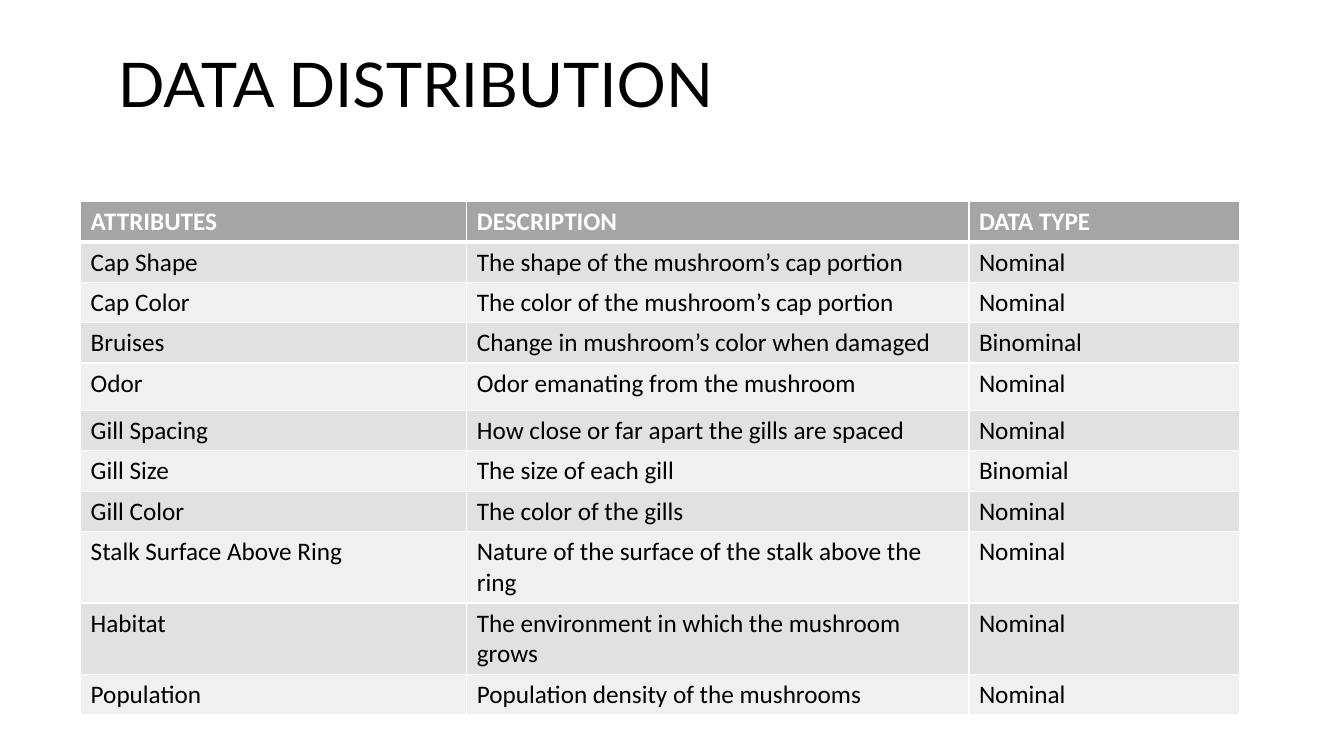
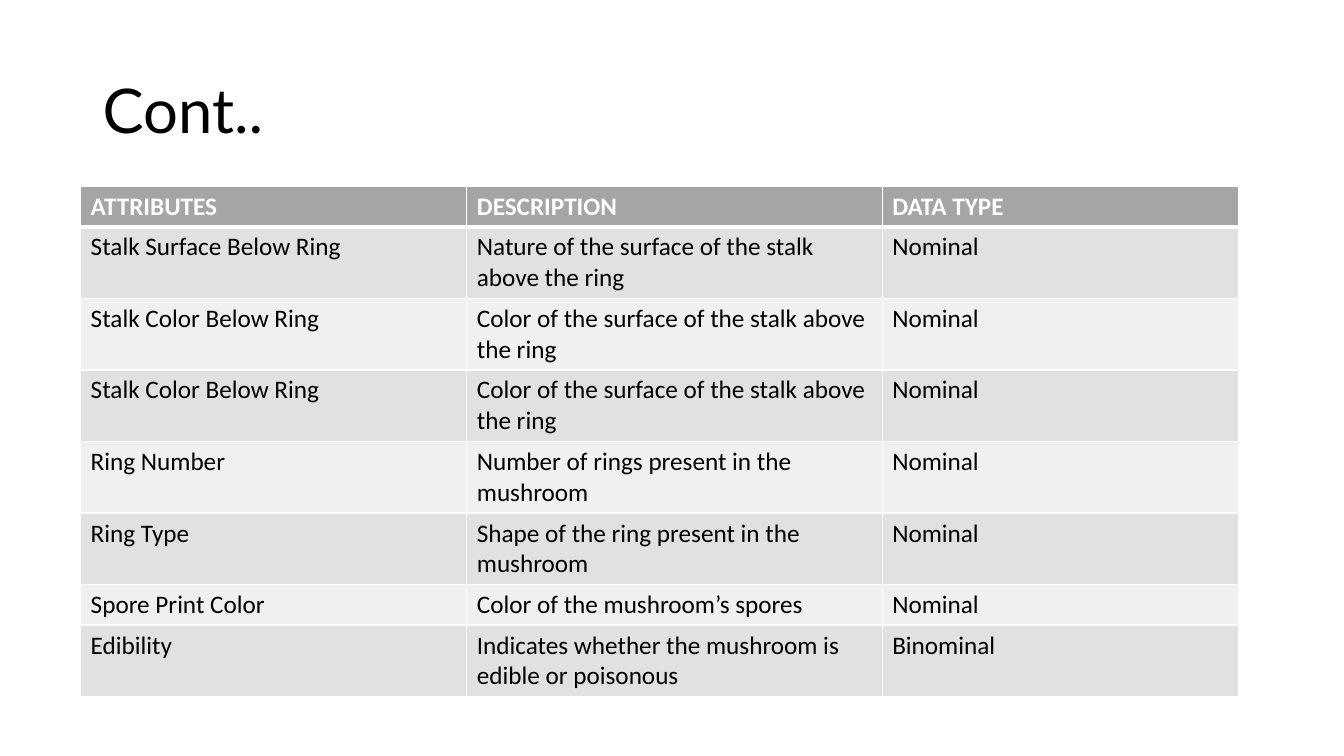
from dataclasses import dataclass
from lxml import etree
from pptx import Presentation
from pptx.dml.color import RGBColor
from pptx.enum.text import MSO_ANCHOR
from pptx.oxml.ns import qn
from pptx.util import Inches, Pt

MIDDLE = MSO_ANCHOR.MIDDLE


@dataclass(frozen=True)
class Theme:
    ink: str = "000000"
    white: str = "FFFFFF"
    head: str = "A5A5A5"
    bands: tuple = ("E1E1E1", "F0F0F0")
    title_font: str = "Lato"
    body_font: str = "Calibri"
    title_size: int = 44
    body_size: int = 18
    thin: int = 1
    thick: int = 3


THEME = Theme()
LEFT = 0.8
TITLE_SIZE = (11.5, 1.45)
ONE_LINE, TALL, TWO_LINES = 0.4, 0.47, 0.71
HEAD = ("ATTRIBUTES", "DESCRIPTION", "DATA TYPE")

SLIDES = [
    {
        "title": "DATA DISTRIBUTION",
        "title_at": (1.07, 0.14),
        "top": 2,
        "cols": (3.83, 4.98, 2.68),
        "rows": [
            ("Cap Shape", "The shape of the mushroom’s cap portion", "Nominal"),
            ("Cap Color", "The color of the mushroom’s cap portion", "Nominal"),
            ("Bruises", "Change in mushroom’s color when damaged", "Binominal"),
            ("Odor", "Odor emanating from the mushroom", "Nominal"),
            ("Gill Spacing", "How close or far apart the gills are spaced", "Nominal"),
            ("Gill Size", "The size of each gill", "Binomial"),
            ("Gill Color", "The color of the gills", "Nominal"),
            ("Stalk Surface Above Ring", "Nature of the surface of the stalk above the ring", "Nominal"),
            ("Habitat", "The environment in which the mushroom grows", "Nominal"),
            ("Population", "Population density of the mushrooms", "Nominal"),
        ],
        "heights": {4: TALL, 8: TWO_LINES, 9: TWO_LINES},
    },
    {
        "title": "Cont..",
        "title_at": (0.92, 0.4),
        "top": 1.85,
        "cols": (3.83, 4.12, 3.54),
        "rows": [
            ("Stalk Surface Below Ring", "Nature of the surface of the stalk above the ring", "Nominal"),
            ("Stalk Color Below Ring", "Color of the surface of the stalk above the ring", "Nominal"),
            ("Stalk Color Below Ring", "Color of the surface of the stalk above the ring", "Nominal"),
            ("Ring Number", "Number of rings present in the mushroom", "Nominal"),
            ("Ring Type", "Shape of the ring present in the mushroom", "Nominal"),
            ("Spore Print Color", "Color of the mushroom’s spores", "Nominal"),
            ("Edibility", "Indicates whether the mushroom is edible or poisonous", "Binominal"),
        ],
        "heights": {row: TWO_LINES for row in (1, 2, 3, 4, 5, 7)},
    },
]


def add_run(para, text, font, size, color, bold=False):
    run = para.add_run()
    run.text = text
    run.font.name = font
    run.font.size = Pt(size)
    run.font.bold = bold
    run.font.color.rgb = RGBColor.from_string(color)


def add_title(slide, text, spot):
    box = slide.shapes.add_textbox(*map(Inches, spot + TITLE_SIZE))
    frame = box.text_frame
    frame.word_wrap = True
    frame.vertical_anchor = MIDDLE
    para = frame.paragraphs[0]
    para.line_spacing = 0.9
    add_run(para, text, THEME.title_font, THEME.title_size, THEME.ink)


def set_edges(cell, row):
    props = cell._tc.get_or_add_tcPr()
    top = THEME.thick if row == 1 else THEME.thin
    base = THEME.thick if row == 0 else THEME.thin
    for side, width in zip("LRTB", (THEME.thin, THEME.thin, top, base)):
        line = etree.SubElement(props, qn(f"a:ln{side}"), w=str(Pt(width)))
        fill = etree.SubElement(line, qn("a:solidFill"))
        etree.SubElement(fill, qn("a:srgbClr"), val=THEME.white)


def fill_cell(cell, text, row):
    head = row == 0
    color = THEME.head if head else THEME.bands[(row - 1) % 2]
    set_edges(cell, row)
    cell.fill.solid()
    cell.fill.fore_color.rgb = RGBColor.from_string(color)
    add_run(cell.text_frame.paragraphs[0], text, THEME.body_font,
            THEME.body_size, THEME.white if head else THEME.ink, head)


def add_grid(slide, data):
    rows = [HEAD] + data["rows"]
    cols = data["cols"]
    heights = [data["heights"].get(i, ONE_LINE) for i in range(len(rows))]
    area = (LEFT, data["top"], sum(cols), sum(heights))
    table = slide.shapes.add_table(len(rows), len(cols), *map(Inches, area)).table
    table.horz_banding = False
    table.first_row = False
    for col, width in zip(table.columns, cols):
        col.width = Inches(width)
    for i, (texts, height) in enumerate(zip(rows, heights)):
        table.rows[i].height = Inches(height)
        for j, text in enumerate(texts):
            fill_cell(table.cell(i, j), text, i)


def main():
    deck = Presentation()
    deck.slide_width, deck.slide_height = Inches(13.33), Inches(7.5)
    for data in SLIDES:
        slide = deck.slides.add_slide(deck.slide_layouts[6])
        add_title(slide, data["title"], data["title_at"])
        add_grid(slide, data)
    deck.save("out.pptx")


if __name__ == "__main__":
    main()
